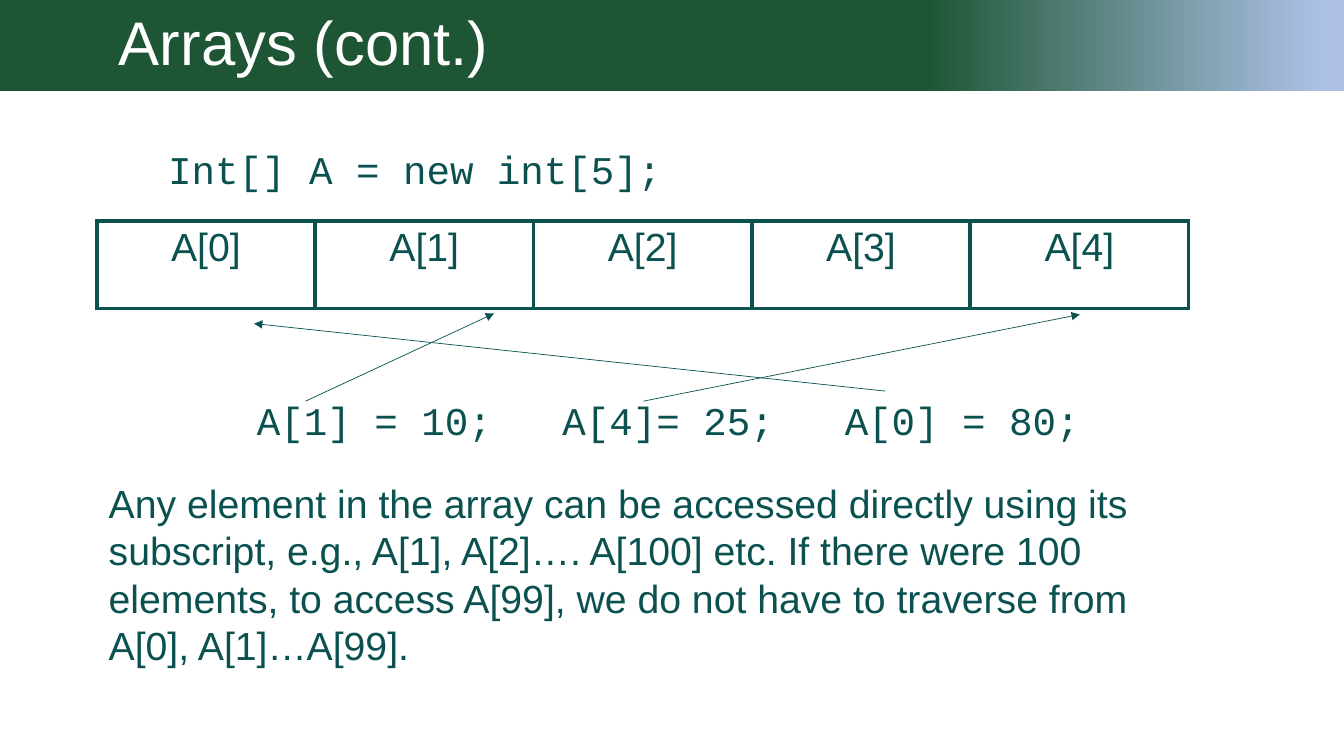
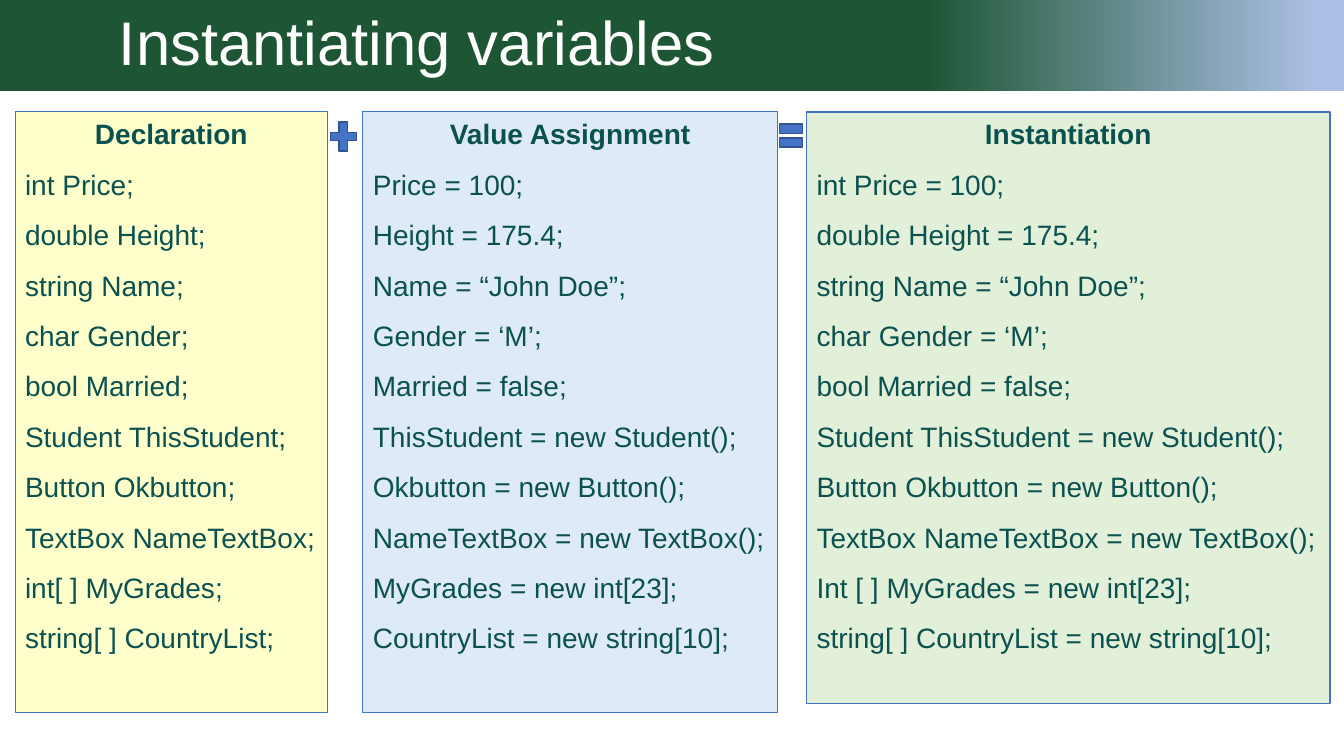
from lxml import etree
from pptx import Presentation
from pptx.dml.color import RGBColor
from pptx.enum.shapes import MSO_CONNECTOR, MSO_SHAPE
from pptx.enum.text import MSO_ANCHOR, MSO_AUTO_SIZE, PP_ALIGN
from pptx.oxml import parse_xml
from pptx.oxml.ns import nsdecls, qn
from pptx.util import Inches, Pt

LEFT, CENTER = PP_ALIGN.LEFT, PP_ALIGN.CENTER
TOP, MIDDLE = MSO_ANCHOR.TOP, MSO_ANCHOR.MIDDLE
GROW = MSO_AUTO_SIZE.SHAPE_TO_FIT_TEXT
RECTANGLE, PLUS, EQUAL = MSO_SHAPE.RECTANGLE, MSO_SHAPE.MATH_PLUS, MSO_SHAPE.MATH_EQUAL
STRAIGHT = MSO_CONNECTOR.STRAIGHT

SANS, MONO = "Arial", "Courier New"
TEAL, GREEN, PALE_BLUE, WHITE = "0B5150", "1E5635", "ABC0E4", "FFFFFF"
BLUE, DARK_BLUE = "4472C4", "325491"
SLIDE_WIDTH, SLIDE_HEIGHT, BAND_HEIGHT = 13.33, 7.5, 0.9

# Content: arrays
ARRAY_TITLE = "Arrays (cont.)"
ARRAY_DECLARATION = "Int[] A = new int[5];"
ARRAY_CELLS = [f"A[{index}]" for index in range(5)]
ASSIGNMENTS = ["A[1] = 10;", "A[4]= 25;", "A[0] = 80;"]
ASSIGNMENT_TABS = [3.03, 5.83]
ARROWS = [  # from an assignment to its array cell
    ((3.03, 3.98), (4.9, 3.11)),
    ((6.38, 3.98), (10.71, 3.12)),
    ((8.78, 3.88), (2.52, 3.21)),
]
ARRAY_NOTE = (
    "Any element in the array can be accessed directly using its subscript, "
    "e.g., A[1], A[2]…. A[100] etc. If there were 100 elements, to access "
    "A[99], we do not have to traverse from A[0], A[1]…A[99]."
)

# Content: variables
VARIABLE_TITLE = "Instantiating variables"
VARIABLES = [  # declaration, value assignment, instantiation
    ("int Price;", "Price = 100;", "int Price = 100;"),
    ("double Height;", "Height = 175.4;", "double Height = 175.4;"),
    ("string Name;", "Name = “John Doe”;", "string Name = “John Doe”;"),
    ("char Gender;", "Gender = ‘M’;", "char Gender = ‘M’;"),
    ("bool Married;", "Married = false;", "bool Married = false;"),
    ("Student ThisStudent;", "ThisStudent = new Student();",
     "Student ThisStudent = new Student();"),
    ("Button Okbutton;", "Okbutton = new Button();",
     "Button Okbutton = new Button();"),
    ("TextBox NameTextBox;", "NameTextBox = new TextBox();",
     "TextBox NameTextBox = new TextBox();"),
    ("int[ ] MyGrades;", "MyGrades = new int[23];",
     "Int [ ] MyGrades = new int[23];"),
    ("string[ ] CountryList;", "CountryList = new string[10];",
     "string[ ] CountryList = new string[10];"),
]
PANELS = [  # heading, left, width, height, fill, line width
    ("Declaration", 0.15, 3.1, 5.96, "FFFFCC", 0.75),
    ("Value Assignment", 3.6, 4.11, 5.96, "DEEBF7", 0.75),
    ("Instantiation", 8, 5.19, 5.87, "E2F0D9", 1),
]
PANEL_TOP = 1.11
OPERATORS = [(PLUS, (3.23, 1.16, 0.35, 0.39)), (EQUAL, (7.69, 1.15, 0.31, 0.39))]


def color(value):
    return RGBColor.from_string(value)


def inches(*values):
    return [Inches(value) for value in values]


def write(frame, text, first=False, size=28, font=SANS, bold=False, align=LEFT, after=0):
    """Put one formatted paragraph in a text frame."""
    para = frame.paragraphs[0] if first else frame.add_paragraph()
    para.alignment = align
    para.space_after = Pt(after)
    span = para.add_run()
    span.text = text
    span.font.size, span.font.name, span.font.bold = Pt(size), font, bold
    span.font.color.rgb = color(TEAL)
    return para


def add_text(slide, place, text, **style):
    frame = slide.shapes.add_textbox(*inches(*place)).text_frame
    frame.word_wrap = True
    frame.auto_size = GROW
    return write(frame, text, first=True, **style)


def add_box(slide, preset, place, fill, line, line_width):
    box = slide.shapes.add_shape(preset, *inches(*place))
    box.shadow.inherit = False
    box.fill.solid()
    box.fill.fore_color.rgb = color(fill)
    box.line.color.rgb = color(line)
    box.line.width = Pt(line_width)
    return box


def add_arrow(slide, start, end):
    arrow = slide.shapes.add_connector(STRAIGHT, *inches(*start, *end))
    arrow.line.color.rgb = color(TEAL)
    arrow.line.width = Pt(0.5)
    etree.SubElement(arrow.line._get_or_add_ln(), qn("a:tailEnd"), type="triangle")
    etree.SubElement(arrow._element.spPr, qn("a:effectLst"))


def set_tabs(para, stops):
    tabs = etree.SubElement(para._p.get_or_add_pPr(), qn("a:tabLst"))
    for stop in stops:
        etree.SubElement(tabs, qn("a:tab"), pos=str(Inches(stop)), algn="l")


def set_borders(cell, line, width):
    properties = cell._tc.get_or_add_tcPr()
    for index, side in enumerate(("lnL", "lnR", "lnT", "lnB")):
        properties.insert(index, parse_xml(
            f'<a:{side} {nsdecls("a")} w="{Pt(width)}"><a:solidFill>'
            f'<a:srgbClr val="{line}"/></a:solidFill></a:{side}>'))


def style_title_layout(layout):
    """Make the layout's title a full-width gradient band with white text."""
    band = layout.placeholders[0]
    band.left, band.top, band.width, band.height = inches(0, 0, SLIDE_WIDTH, BAND_HEIGHT)
    band.fill.gradient()
    band.fill.gradient_angle = 0
    stops = [(0.69, GREEN), (0.98, PALE_BLUE)]
    for stop, (position, value) in zip(band.fill.gradient_stops, stops):
        stop.position = position
        stop.color.rgb = color(value)
    frame = band.text_frame
    frame.vertical_anchor = MIDDLE
    frame.margin_left = Inches(1.18)
    list_style = frame._txBody.find(qn("a:lstStyle"))
    for level in list(list_style):
        list_style.remove(level)
    list_style.append(parse_xml(
        f'<a:lvl1pPr {nsdecls("a")} algn="l"><a:lnSpc><a:spcPct val="90000"/></a:lnSpc>'
        f'<a:defRPr sz="4400"><a:solidFill><a:srgbClr val="{WHITE}"/></a:solidFill>'
        f'<a:latin typeface="{SANS}"/></a:defRPr></a:lvl1pPr>'))


def add_slide(deck, layout, title):
    slide = deck.slides.add_slide(layout)
    slide.shapes.title.text_frame.text = title
    return slide


def build_arrays(slide):
    # Array drawn as a one-row table
    frame = slide.shapes.add_table(1, len(ARRAY_CELLS), *inches(0.96, 2.19, 10.83, 0.87))
    table = frame.table
    table.first_row = table.horz_banding = False
    for cell, text in zip(table.rows[0].cells, ARRAY_CELLS):
        write(cell.text_frame, text, first=True, align=CENTER)
        cell.fill.background()
        set_borders(cell, TEAL, 3)

    # Code and explanation
    add_text(slide, (1.57, 1.39, 7.2, 0.57), ARRAY_DECLARATION, font=MONO)
    para = add_text(slide, (2.45, 3.88, 8.42, 0.57), "\t".join(ASSIGNMENTS), font=MONO)
    set_tabs(para, ASSIGNMENT_TABS)
    for start, end in ARROWS:
        add_arrow(slide, start, end)
    add_text(slide, (0.98, 4.71, 11.1, 1.51), ARRAY_NOTE)


def build_variables(slide):
    # One panel per column of code
    for panel, lines in zip(PANELS, zip(*VARIABLES)):
        heading, left, width, height, fill, line_width = panel
        box = add_box(slide, RECTANGLE, (left, PANEL_TOP, width, height),
                      fill, BLUE, line_width)
        frame = box.text_frame
        frame.word_wrap = False
        frame.auto_size = GROW
        frame.vertical_anchor = TOP
        write(frame, heading, first=True, size=20, bold=True, align=CENTER, after=12)
        for line in lines:
            write(frame, line, size=20, after=12)

    # Plus and equals signs between the panels
    for preset, place in OPERATORS:
        add_box(slide, preset, place, BLUE, DARK_BLUE, 1)


def main():
    deck = Presentation()
    deck.slide_width, deck.slide_height = inches(SLIDE_WIDTH, SLIDE_HEIGHT)
    layout = deck.slide_layouts.get_by_name("Title Only")
    style_title_layout(layout)
    build_arrays(add_slide(deck, layout, ARRAY_TITLE))
    build_variables(add_slide(deck, layout, VARIABLE_TITLE))
    deck.save("out.pptx")


if __name__ == "__main__":
    main()
